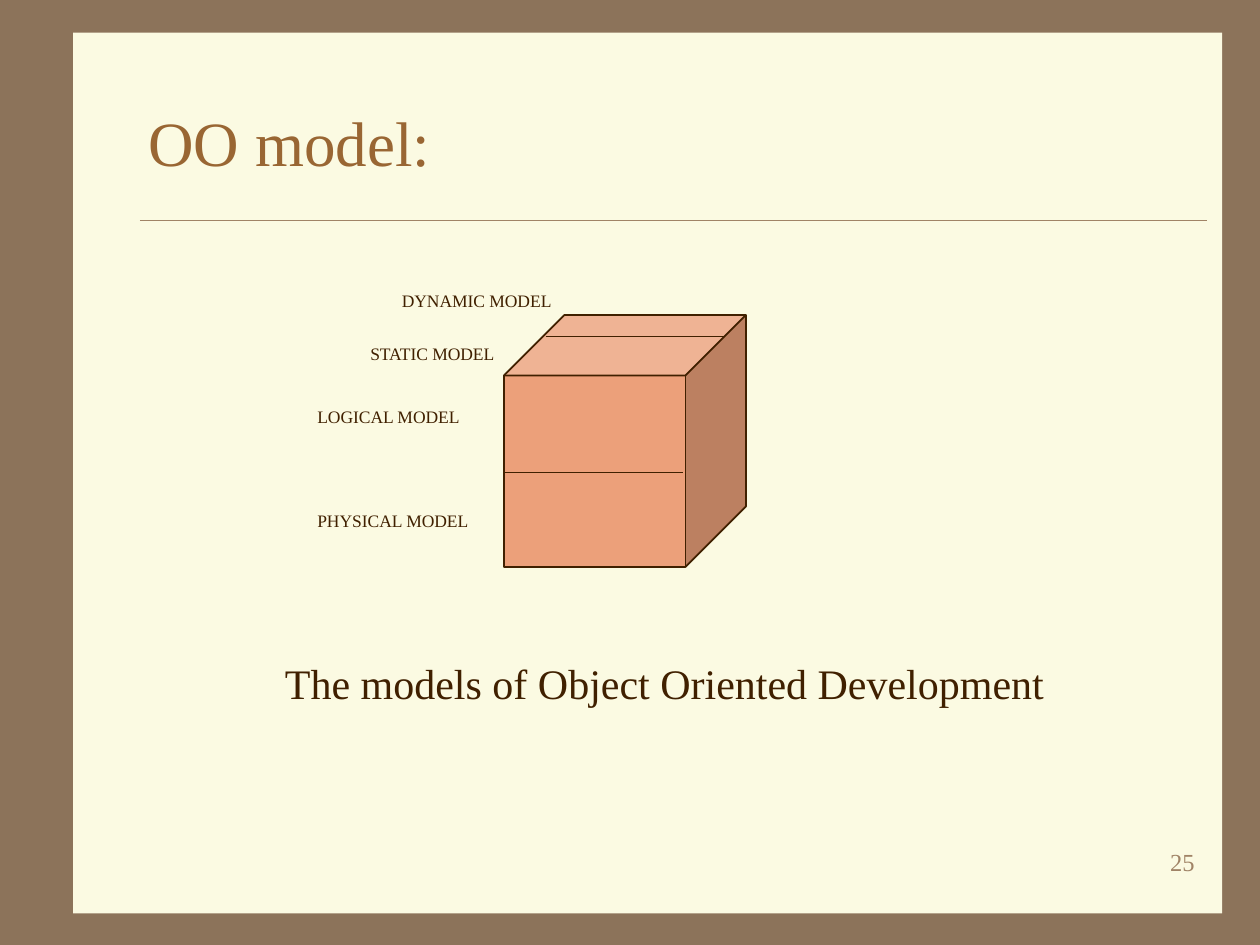
from lxml import etree
from pptx import Presentation
from pptx.dml.color import RGBColor
from pptx.enum.shapes import MSO_CONNECTOR, MSO_SHAPE
from pptx.enum.text import MSO_ANCHOR, MSO_AUTO_SIZE, PP_ALIGN
from pptx.oxml.ns import qn
from pptx.util import Inches, Pt

RECTANGLE, CUBE = MSO_SHAPE.RECTANGLE, MSO_SHAPE.CUBE
STRAIGHT = MSO_CONNECTOR.STRAIGHT
LEFT, CENTER, RIGHT = PP_ALIGN.LEFT, PP_ALIGN.CENTER, PP_ALIGN.RIGHT
TOP, MIDDLE = MSO_ANCHOR.TOP, MSO_ANCHOR.MIDDLE
FIT_SHAPE = MSO_AUTO_SIZE.SHAPE_TO_FIT_TEXT

FONT = "Times New Roman"
COLORS = {
    "frame": "8C735A",
    "paper": "FBFAE2",
    "muted": "A08366",
    "title": "996633",
    "ink": "402000",
    "cube": "ECA07A",
}


def color(name):
    return RGBColor.from_string(COLORS[name])


def add_text(slide, text, left, top, width, height, size, ink="ink",
             align=LEFT, anchor=TOP, wrap=False):
    """Add one line of text; a box that does not wrap grows with its text."""
    box = slide.shapes.add_textbox(Inches(left), Inches(top), Inches(width), Inches(height))
    frame = box.text_frame
    frame.text = text
    frame.word_wrap = wrap
    if not wrap:
        frame.auto_size = FIT_SHAPE
    frame.vertical_anchor = anchor
    paragraph = frame.paragraphs[0]
    paragraph.alignment = align
    font = paragraph.runs[0].font
    font.name, font.size = FONT, Pt(size)
    font.color.rgb = color(ink)


def add_rule(slide, left, y, width, ink, weight):
    """Draw a horizontal line without a shadow."""
    rule = slide.shapes.add_connector(
        STRAIGHT, Inches(left), Inches(y), Inches(left + width), Inches(y))
    rule.line.color.rgb = color(ink)
    rule.line.width = Pt(weight)
    etree.SubElement(rule._element.spPr, qn("a:effectLst"))


def add_solid(slide, kind, left, top, width, height, fill):
    solid = slide.shapes.add_shape(
        kind, Inches(left), Inches(top), Inches(width), Inches(height))
    solid.shadow.inherit = False
    solid.fill.solid()
    solid.fill.fore_color.rgb = color(fill)
    return solid


def add_page(slide, left, top, width, height, number):
    """Place the paper panel on the framed background, with its page number."""
    slide.background.fill.solid()
    slide.background.fill.fore_color.rgb = color("frame")
    paper = add_solid(slide, RECTANGLE, left, top, width, height, "paper")
    paper.line.fill.background()
    add_text(slide, number, left + width - 2.2, top + height - 0.58, 2.08, 0.5,
             14, "muted", RIGHT, wrap=True)


def add_title(slide, left, top, width, height, title):
    add_rule(slide, left + 0.03, top + height, width - 0.03, "muted", 0.25)
    add_text(slide, title, left, top, width, height, 36, "title",
             anchor=MIDDLE, wrap=True)


def add_model_cube(slide, left, top, width, height):
    """Draw the cube with split front and top faces, and label each part."""
    depth = 0.25 * min(width, height)
    face_width = width - depth
    cube = add_solid(slide, CUBE, left, top, width, height, "cube")
    cube.adjustments[0] = 0.25
    cube.line.color.rgb = color("ink")
    cube.line.width = Pt(1)

    labels = [
        ("DYNAMIC MODEL", -0.91, -0.25, 1.39),
        ("STATIC MODEL", -1.16, 0.17, 1.21),
        ("LOGICAL MODEL", -1.58, 0.67, 1.33),
        ("PHYSICAL MODEL", -1.58, 1.5, 1.4),
    ]
    for label, dx, dy, label_width in labels:
        add_text(slide, label, left + dx, top + dy, label_width, 0.27, 10)

    for dx, dy in [(0, 1.25), (0.33, 0.17)]:
        add_rule(slide, left + dx, top + dy, face_width - 0.02, "ink", 1)


def main():
    deck = Presentation()
    deck.slide_width, deck.slide_height = Inches(10), Inches(7.5)
    slide = deck.slides.add_slide(deck.slide_layouts[6])
    add_page(slide, 0.58, 0.26, 9.12, 6.99, "25")
    add_title(slide, 1.08, 0.5, 8.5, 1.25, "OO model:")
    add_model_cube(slide, 4, 2.5, 1.92, 2)
    add_text(slide, "The models of Object Oriented Development",
             2.16, 5.17, 6.23, 0.5, 24, align=CENTER)
    deck.save("out.pptx")


if __name__ == "__main__":
    main()
